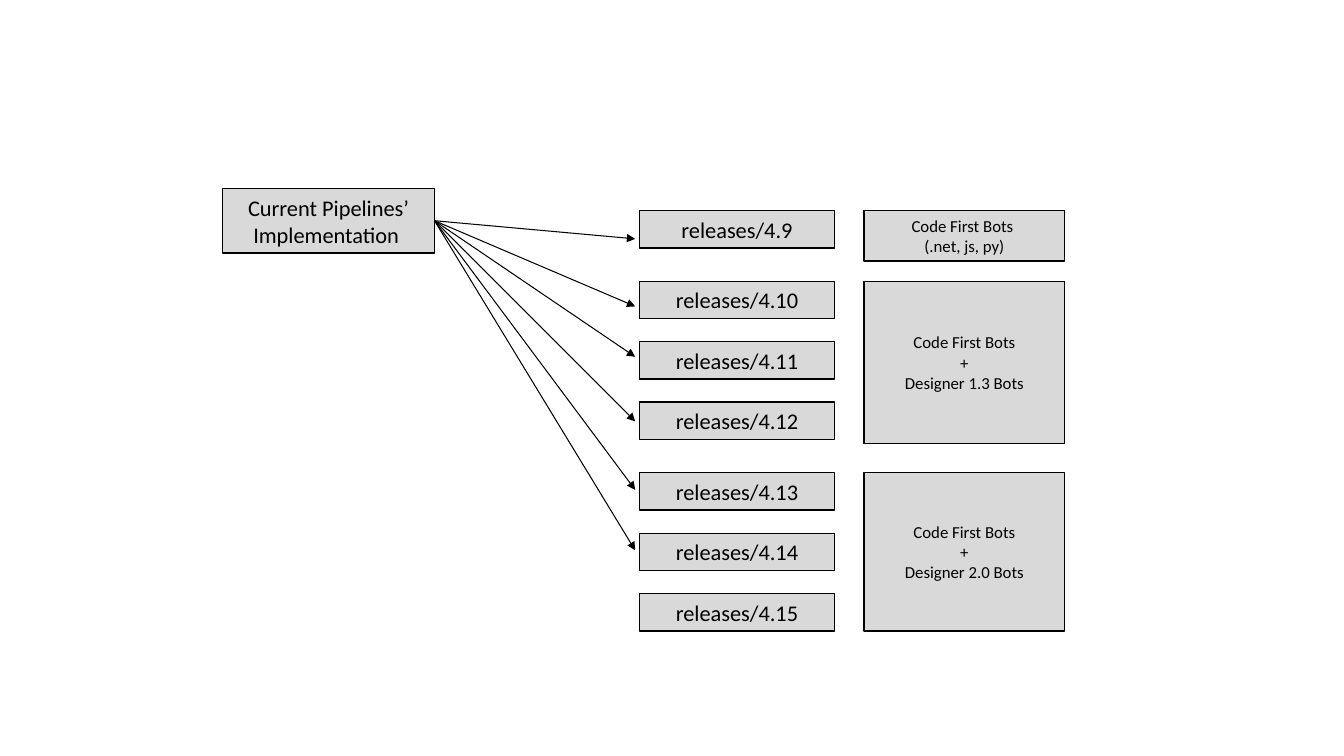
import pptx
import pptx.util
import pptx.dml.color
import pptx.enum.shapes
import pptx.enum.text
import pptx.oxml.ns
import lxml.etree

Inches, Pt = pptx.util.Inches, pptx.util.Pt
GREY = pptx.dml.color.RGBColor(0xD9, 0xD9, 0xD9)
BLACK = pptx.dml.color.RGBColor(0, 0, 0)
FONT = "Calibri"

# Columns: left edge and width, in inches
PIPELINE_COLUMN = (2.21, 2.1)
RELEASE_COLUMN = (6.34, 1.94)
BOTS_COLUMN = (8.57, 1.99)
LABEL_INSET = 0.05
LABEL_HEIGHT = 0.71

# Rows
PIPELINE_TOP, PIPELINE_HEIGHT = 1.87, 0.64
RELEASE_HEIGHT, RELEASE_PITCH = 0.37, 0.6
ARROW_GAP = 0.04

# Top, height of the bots box, its text, and (release, arrow drop below its top)
RELEASE_GROUPS = [
    (2.09, 0.5, ["Code First Bots ", "(.net, js, py)"], [("4.9", 0.28)]),
    (2.79, 1.61, ["Code First Bots", "+", "Designer 1.3 Bots"],
     [("4.10", 0.25), ("4.11", 0.15), ("4.12", 0.19)]),
    (4.69, 1.57, ["Code First Bots", "+", "Designer 2.0 Bots"],
     [("4.13", 0.17), ("4.14", 0.17), ("4.15", None)]),
]


def add_box(page, column, top, height, lines=(), size=16, outlined=True):
    """Grey rectangle with optional centred text, one paragraph per line."""
    left, width = column
    box = page.shapes.add_shape(
        pptx.enum.shapes.MSO_SHAPE.RECTANGLE,
        Inches(left), Inches(top), Inches(width), Inches(height))
    box.shadow.inherit = False
    box.fill.solid()
    box.fill.fore_color.rgb = GREY
    if outlined:
        box.line.color.rgb = BLACK
        box.line.width = Pt(1)
    else:
        box.line.fill.background()
    frame = box.text_frame
    frame.word_wrap = True
    frame.vertical_anchor = pptx.enum.text.MSO_ANCHOR.MIDDLE
    for index, line in enumerate(lines):
        para = frame.add_paragraph() if index else frame.paragraphs[0]
        para.alignment = pptx.enum.text.PP_ALIGN.CENTER
        span = para.add_run()
        span.text = line
        span.font.name = FONT
        span.font.size = Pt(size)
        span.font.color.rgb = BLACK


def add_arrow(page, start, end):
    """Thin straight line with a triangle at its end."""
    arrow = page.shapes.add_connector(
        pptx.enum.shapes.MSO_CONNECTOR.STRAIGHT,
        *[Inches(value) for value in start + end])
    arrow.line.color.rgb = BLACK
    arrow.line.width = Pt(0.75)
    properties = arrow.element.spPr
    qn = pptx.oxml.ns.qn
    lxml.etree.SubElement(properties.find(qn("a:ln")), qn("a:tailEnd"), type="triangle")
    lxml.etree.SubElement(properties, qn("a:effectLst"))


def add_bots_box(page, top, height, lines):
    """Box beside the releases; a tall one carries a centred inner label."""
    if height < LABEL_HEIGHT:
        add_box(page, BOTS_COLUMN, top, height, lines, size=12)
        return
    add_box(page, BOTS_COLUMN, top, height)
    left, width = BOTS_COLUMN
    label_column = (left + LABEL_INSET, width - 2 * LABEL_INSET)
    label_top = top + (height - LABEL_HEIGHT) / 2
    add_box(page, label_column, label_top, LABEL_HEIGHT, lines, size=12, outlined=False)


def main():
    deck = pptx.Presentation()
    deck.slide_width, deck.slide_height = Inches(13.33), Inches(7.5)
    page = deck.slides.add_slide(deck.slide_layouts[6])

    # Pipelines, the source of every arrow
    add_box(page, PIPELINE_COLUMN, PIPELINE_TOP, PIPELINE_HEIGHT,
            ["Current Pipelines\u2019 Implementation "])
    arrow_start = (sum(PIPELINE_COLUMN), PIPELINE_TOP + PIPELINE_HEIGHT / 2)

    # Releases, grouped by the bots they support
    for group_top, bots_height, bots_lines, releases in RELEASE_GROUPS:
        add_bots_box(page, group_top, bots_height, bots_lines)
        for row, (version, arrow_drop) in enumerate(releases):
            top = group_top + row * RELEASE_PITCH
            add_box(page, RELEASE_COLUMN, top, RELEASE_HEIGHT, ["releases/" + version])
            if arrow_drop is not None:
                add_arrow(page, arrow_start,
                          (RELEASE_COLUMN[0] - ARROW_GAP, top + arrow_drop))

    deck.save("out.pptx")


main()
